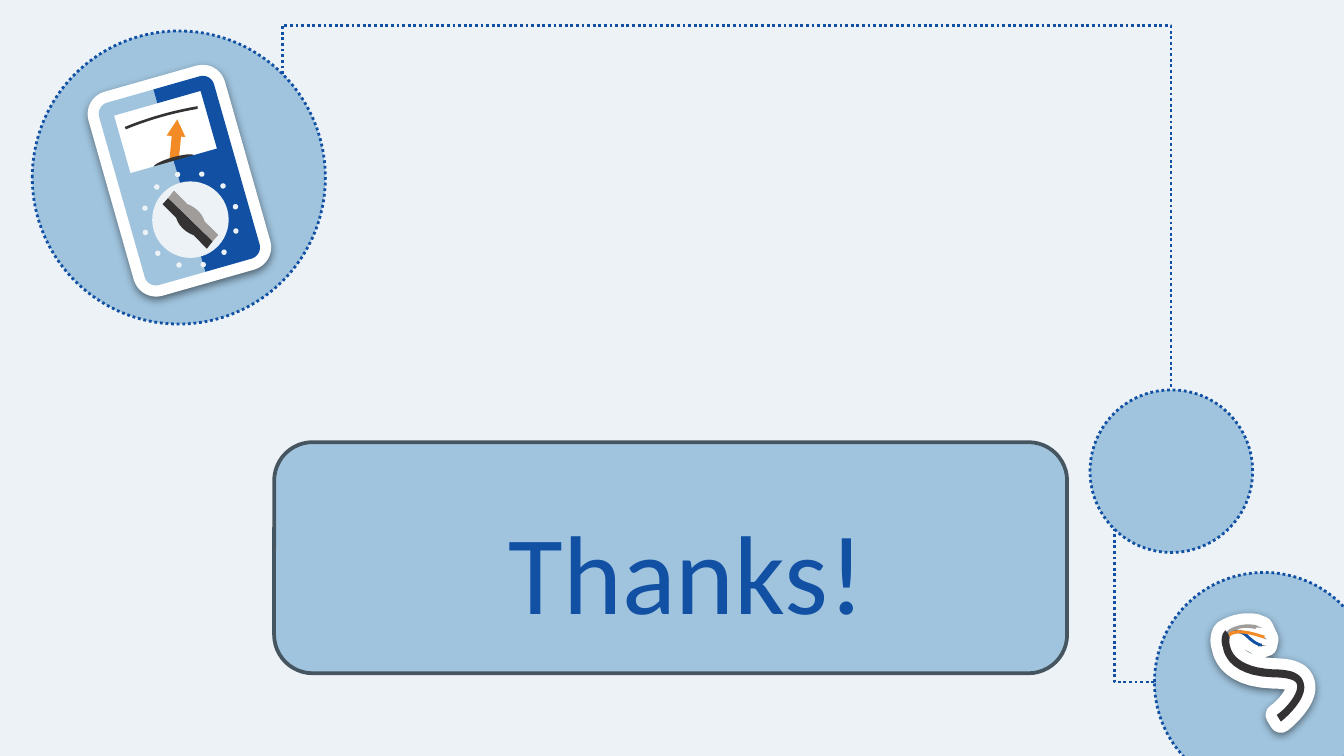
import math
from dataclasses import dataclass

from lxml import etree
from pptx import Presentation
from pptx.dml.color import RGBColor
from pptx.enum.dml import MSO_LINE
from pptx.enum.shapes import MSO_CONNECTOR, MSO_SHAPE
from pptx.enum.text import MSO_ANCHOR, PP_ALIGN
from pptx.oxml.ns import qn
from pptx.util import Pt

OVAL = MSO_SHAPE.OVAL
ROUNDED = MSO_SHAPE.ROUNDED_RECTANGLE
ELBOW = MSO_CONNECTOR.ELBOW
DOTTED = MSO_LINE.ROUND_DOT
BOTTOM = MSO_ANCHOR.BOTTOM
CENTER = PP_ALIGN.CENTER


@dataclass(frozen=True)
class Theme:
    paper: str = "EDF2F7"
    light: str = "A0C4DE"
    blue: str = "1150A2"
    white: str = "FFFFFF"
    orange: str = "F28A25"
    dark: str = "343232"
    grey: str = "9F9C9A"
    border: str = "465661"
    font: str = "Calibri"
    title_size: float = 60


def color(value):
    return RGBColor.from_string(value)


def mirrored(path, x_sign, y_sign):
    signs = (x_sign, y_sign) * 3
    return [tuple(v * s for v, s in zip(step, signs)) for step in path]


def flattened(path, steps=10):
    """Turn corners (x, y) and cubic curves (x1, y1, x2, y2, x, y) into points."""
    points = []
    for step in path:
        if len(step) == 2:
            points.append(step)
            continue
        nodes = [points[-1], step[:2], step[2:4], step[4:]]
        for index in range(1, steps + 1):
            t = index / steps
            weights = ((1 - t) ** 3, 3 * t * (1 - t) ** 2, 3 * t * t * (1 - t), t ** 3)
            points.append(tuple(sum(w * node[axis] for w, node in zip(weights, nodes))
                                for axis in (0, 1)))
    return points


def format_text(frame, text, *, size, font, fill, align, anchor):
    frame.word_wrap = True
    frame.vertical_anchor = anchor
    frame.margin_left = frame.margin_right = Pt(7.2)
    frame.margin_top = frame.margin_bottom = Pt(7.2)
    paragraph = frame.paragraphs[0]
    paragraph.alignment = align
    run = paragraph.add_run()
    run.text = text
    run.font.size = Pt(size)
    run.font.name = font
    run.font.color.rgb = color(fill)


class Drawing:
    def __init__(self, slide, theme):
        self.slide = slide
        self.theme = theme
        self.leave_group()
        slide.background.fill.solid()
        slide.background.fill.fore_color.rgb = color(theme.paper)

    def enter_group(self, x, y, tilt=0):
        """Place what follows around (x, y), turned by tilt degrees."""
        self.shapes = self.slide.shapes.add_group_shape().shapes
        self.origin, self.tilt = (x, y), tilt

    def leave_group(self):
        self.shapes = self.slide.shapes
        self.origin, self.tilt = (0, 0), 0

    def finish(self, shape, fill, line=None, line_width=1.5, dash=None, shadow=False):
        shape.shadow.inherit = False
        shape.fill.solid()
        shape.fill.fore_color.rgb = color(fill)
        if line:
            shape.line.color.rgb = color(line)
            shape.line.width = Pt(line_width)
            if dash:
                shape.line.dash_style = dash
            etree.SubElement(shape._element.spPr.find(qn("a:ln")), qn("a:round"))
        else:
            shape.line.fill.background()
        if shadow:
            effects = shape._element.spPr.find(qn("a:effectLst"))
            outer = etree.SubElement(effects, qn("a:outerShdw"), blurRad=str(Pt(4.5)),
                                     dist=str(Pt(1.5)), dir="5400000", rotWithShape="0")
            black = etree.SubElement(outer, qn("a:srgbClr"), val="000000")
            etree.SubElement(black, qn("a:alpha"), val="50000")
        if self.tilt:
            self.turn(shape)

    def turn(self, shape):
        """Turn a shape about the origin of its group."""
        origin_x, origin_y = (Pt(v) for v in self.origin)
        dx = shape.left + shape.width / 2 - origin_x
        dy = shape.top + shape.height / 2 - origin_y
        cosine, sine = math.cos(math.radians(self.tilt)), math.sin(math.radians(self.tilt))
        shape.left = round(origin_x + dx * cosine - dy * sine - shape.width / 2)
        shape.top = round(origin_y + dx * sine + dy * cosine - shape.height / 2)
        shape.rotation = self.tilt

    def preset(self, kind, left, top, width, height, corner=None, **style):
        x, y = self.origin
        shape = self.shapes.add_shape(kind, Pt(x + left), Pt(y + top), Pt(width), Pt(height))
        if corner:
            shape.adjustments[0] = corner
        self.finish(shape, **style)

    def disc(self, x, y, diameter, **style):
        self.preset(OVAL, x - diameter / 2, y - diameter / 2, diameter, diameter, **style)

    def outline(self, path, shift=(0, 0), **style):
        x, y = self.origin[0] + shift[0], self.origin[1] + shift[1]
        points = [(Pt(x + px), Pt(y + py)) for px, py in flattened(path)]
        builder = self.shapes.build_freeform(*points[0], scale=1.0)
        builder.add_line_segments(points[1:], close=True)
        self.finish(builder.convert_to_shape(), **style)

    def bent_line(self, start, end, bend=None):
        """Dotted elbow that leaves vertically; bend is its turn as a share of the height."""
        (x1, y1), (x2, y2) = start, end
        middle_x, middle_y = (x1 + x2) / 2, (y1 + y2) / 2
        across, down = (x2 - x1) / 2, (y2 - y1) / 2
        line = self.shapes.add_connector(ELBOW, Pt(middle_x - down), Pt(middle_y - across),
                                         Pt(middle_x + down), Pt(middle_y + across))
        line.line.color.rgb = color(self.theme.blue)
        line.line.width = Pt(1.5)
        line.line.dash_style = DOTTED
        properties = line._element.spPr
        frame = properties.find(qn("a:xfrm"))
        frame.set("rot", "16200000")
        frame.set("flipH", "1")
        geometry = properties.find(qn("a:prstGeom"))
        if bend is None:
            geometry.set("prst", "bentConnector2")
        else:
            etree.SubElement(geometry.find(qn("a:avLst")), qn("a:gd"),
                             name="adj1", fmla=f"val {round(bend * 100000)}")
        etree.SubElement(properties, qn("a:effectLst"))

    def text(self, text, left, top, width, height, **style):
        box = self.shapes.add_textbox(Pt(left), Pt(top), Pt(width), Pt(height))
        format_text(box.text_frame, text, **style)


def draw_multimeter(drawing, theme):
    half_case = [(0, -50.8), (25.7, -50.8), (29.2, -50.8, 32, -48, 32, -44.5), (32, 44.5),
                 (32, 48, 29.2, 50.8, 25.7, 50.8), (0, 50.8), (0, -11), (24.1, -11),
                 (24.1, -43.1), (0, -43.1)]
    half_knob = [(-12.1, -12), (-7.1, -3.1), (-6.9, -1.4, -6.8, 0.7, -5.2, 3.4),
                 (-4.2, 5.2, -2.6, 7.1, -0.7, 8.4), (4.2, 17.4), (8.3, 14.4), (-8.3, -14.4)]
    scale_arc = [(-20, -34.3), (-7, -35.8, 7, -35.8, 20, -34.3), (20.3, -35.7),
                 (7, -37.2, -7, -37.2, -20.3, -35.7)]
    dial_y = 21.7
    drawing.enter_group(96.1, 96.8, tilt=-15.9)
    drawing.preset(ROUNDED, -32, -50.8, 64, 101.6, corner=0.1, fill=theme.white,
                   line=theme.white, line_width=12, shadow=True)
    drawing.outline([(2.5, -10.2), (-2.3, -11.5), (3.2, -25.6), (7.8, -23.6)], fill=theme.orange)
    drawing.outline([(9.5, -21.6), (7.9, -31.8), (0, -25.1)], fill=theme.orange)
    drawing.preset(OVAL, -11.2, -13, 22.4, 4.3, fill=theme.dark)
    drawing.outline(mirrored(half_case, -1, 1), fill=theme.light)
    drawing.outline(half_case, fill=theme.blue)
    drawing.disc(0, dial_y, 41, fill=theme.paper)
    for index in range(12):
        angle = math.radians(30 * index)
        drawing.disc(25.1 * math.sin(angle), dial_y - 25.1 * math.cos(angle), 2.9,
                     fill=theme.paper)
    drawing.outline(scale_arc, fill=theme.dark)
    drawing.outline(half_knob, shift=(0, dial_y), fill=theme.dark)
    drawing.outline(mirrored(half_knob, -1, -1), shift=(0, dial_y), fill=theme.grey)
    drawing.leave_group()


def draw_cable(drawing, theme):
    outer_side = [(31.7, 51.8), (29.5, 48.2), (33.8, 45.4, 41.8, 36.7, 40.3, 31.7),
                  (39.6, 29.5, 35.3, 28.1, 27.4, 28.1), (6.5, 27.4, 1.4, 17.3, 0.7, 12.2),
                  (-0.7, 8.6, 0, 4.3, 2.2, 2.9)]
    inner_side = [(4.3, 6.5), (4.3, 7.2, 3.6, 9.4, 5, 13), (6.5, 17.3, 12.2, 23, 27.4, 23.8),
                  (37.4, 23.8, 42.5, 25.9, 43.9, 31), (46.8, 38.9, 33.8, 50.4, 31.7, 51.8)]
    wire_edge = [(2.9, 2.9, 8.6, -1.4, 18, 0), (21.6, 1.4), (24.5, 7.6), (23.8, 10.8),
                 (21.6, 11.5), (13, 6.5)]
    tips = [[(17.3, 0.4), (21.6, 1.4), (17.3, 1.1)],
            [(20.2, 5.6), (24.5, 7.8), (20.2, 6.2)],
            [(19.4, 10.8), (23.8, 10.8), (19.4, 11.5)]]
    wires = {
        theme.blue: [(21.6, 11.5), (19.4, 11.5, 16.6, 10.1, 13, 6.5),
                     (8.6, 2.2, 3.6, 5.8, 3.6, 5.8), (2.2, 4.3), (2.2, 4.3, 8.6, 0, 13.7, 5),
                     (17.3, 8.6, 20.2, 10.1, 21.6, 10.1)],
        theme.grey: [(3.6, 5), (2.9, 3.6), (2.9, 2.9, 8.6, -1.4, 18, 0), (19.4, 0.7),
                     (18, 2.2), (9.4, 0, 4.3, 4.3, 3.6, 5)],
        theme.orange: [(22.3, 7.2), (7.9, 2.2, 5, 5.8, 5, 5.8), (3.6, 6.5), (3.6, 5),
                       (3.6, 4.3, 6.5, 0, 23, 5.8), (23, 7.2)],
    }
    drawing.enter_group(654.5, 334.8)
    drawing.outline(outer_side + wire_edge + inner_side, fill=theme.white,
                    line=theme.white, line_width=12, shadow=True)
    for tip in tips:
        drawing.outline(tip, fill=theme.dark)
    for fill, wire in wires.items():
        drawing.outline(wire, fill=fill)
    drawing.outline(outer_side + inner_side, fill=theme.dark)
    drawing.leave_group()


def main():
    theme = Theme()
    presentation = Presentation()
    presentation.slide_width, presentation.slide_height = Pt(720), Pt(405)
    drawing = Drawing(presentation.slides.add_slide(presentation.slide_layouts[6]), theme)
    for x, y, diameter in ((95.8, 95.1, 157), (627.5, 252.4, 87.1), (677.2, 365.4, 117.4)):
        drawing.disc(x, y, diameter, fill=theme.light, line=theme.blue, dash=DOTTED)
    drawing.bent_line((151.2, 39.6), (627.3, 208.8), bend=-0.153)
    drawing.bent_line((596.9, 283.2), (618.5, 365.4))
    draw_multimeter(drawing, theme)
    draw_cable(drawing, theme)
    drawing.preset(ROUNDED, 146.9, 236.9, 424.8, 123.8, fill=theme.light,
                   line=theme.border, line_width=2)
    drawing.text("Thanks!", 193, 265, 350, 83.5, size=theme.title_size, font=theme.font,
                 fill=theme.blue, align=CENTER, anchor=BOTTOM)
    presentation.save("out.pptx")


if __name__ == "__main__":
    main()
